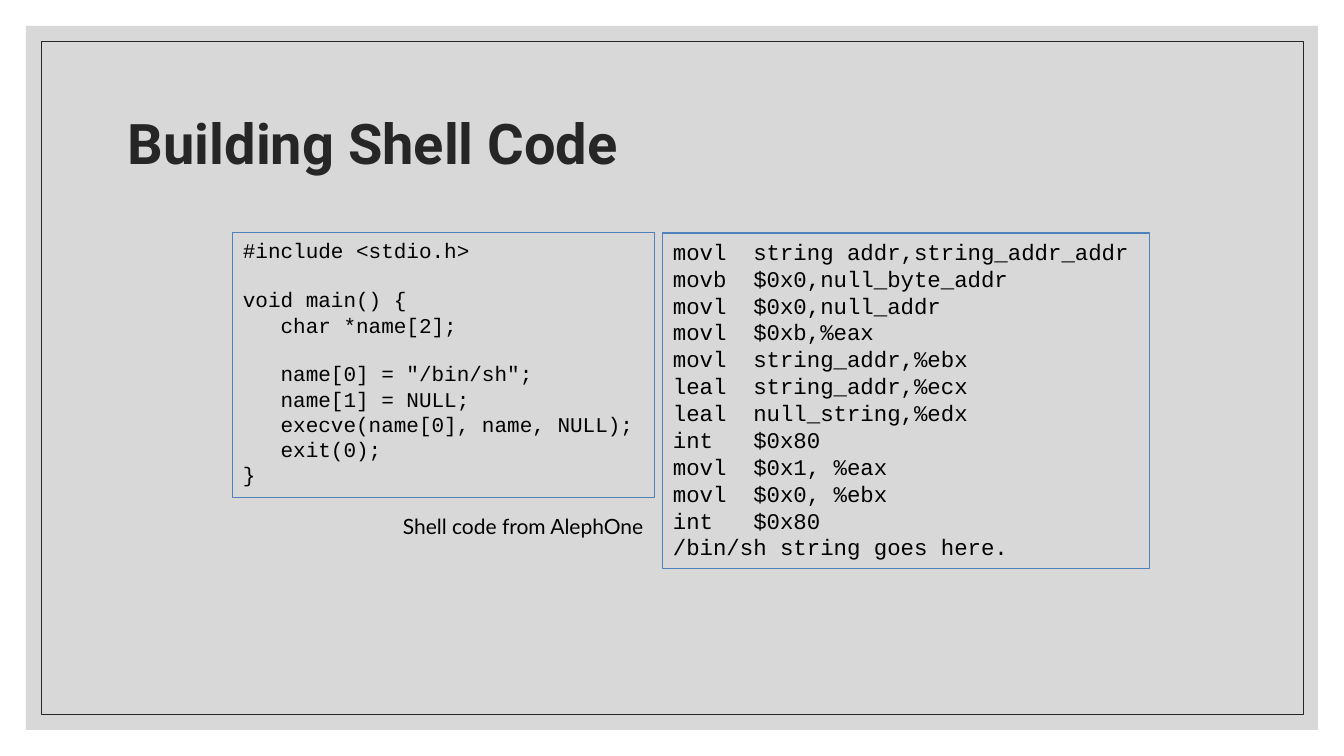
from dataclasses import dataclass

from lxml.etree import SubElement
from pptx import Presentation
from pptx.dml.color import RGBColor
from pptx.enum.shapes import MSO_SHAPE
from pptx.enum.text import MSO_ANCHOR, MSO_AUTO_SIZE, PP_ALIGN
from pptx.oxml.ns import qn
from pptx.util import Emu, Pt

EMU_PER_INCH = 914400
PX_PER_INCH = 100.8


@dataclass(frozen=True)
class Theme:
    panel: RGBColor = RGBColor(0xBF, 0xBF, 0xBF)
    panel_opacity: int = 60
    ink: RGBColor = RGBColor(0x26, 0x26, 0x26)
    code_border: RGBColor = RGBColor(0x4F, 0x81, 0xBD)
    text: RGBColor = RGBColor(0, 0, 0)
    title_size: int = 40
    c_size: int = 15
    assembly_size: int = 16
    caption_size: int = 15
    title_font: str = "Roboto"
    code_font: str = "Courier New"
    caption_font: str = "Lato"
    code_line_height: float = 1.13


THEME = Theme()

C_SOURCE = """#include <stdio.h>

void main() {
   char *name[2];

   name[0] = "/bin/sh";
   name[1] = NULL;
   execve(name[0], name, NULL);
   exit(0);
}"""

ASSEMBLY = """movl  string addr,string_addr_addr
movb  $0x0,null_byte_addr
movl  $0x0,null_addr
movl  $0xb,%eax
movl  string_addr,%ebx
leal  string_addr,%ecx
leal  null_string,%edx
int   $0x80
movl  $0x1, %eax
movl  $0x0, %ebx
int   $0x80
/bin/sh string goes here."""


def px(length):
    return Emu(round(length * EMU_PER_INCH / PX_PER_INCH))


def apply(target, values):
    for name, value in values.items():
        setattr(target, name, value)


def add_rectangle(slide, bounds, fill=None, opacity=100, border=None, weight=0.75):
    rectangle = slide.shapes.add_shape(MSO_SHAPE.RECTANGLE, *map(px, bounds))
    rectangle.shadow.inherit = False
    if fill is None:
        rectangle.fill.background()
    else:
        rectangle.fill.solid()
        rectangle.fill.fore_color.rgb = fill
        tint = rectangle.fill._xPr.find(qn("a:solidFill"))[0]
        SubElement(tint, qn("a:alpha"), val=str(opacity * 1000))
    if border is None:
        rectangle.line.fill.background()
    else:
        rectangle.line.color.rgb = border
        rectangle.line.width = Pt(weight)
    return rectangle


def write_line(paragraph, wording, font, color, spacing):
    apply(paragraph, {"alignment": PP_ALIGN.LEFT, **spacing})
    run = paragraph.add_run()
    run.text = wording
    apply(run.font, font)
    run.font.color.rgb = color


def add_label(slide, bounds, wording, font, color, frame, spacing):
    label = slide.shapes.add_textbox(*map(px, bounds)).text_frame
    apply(label, frame)
    write_line(label.paragraphs[0], wording, font, color, spacing)


def add_listing(slide, bounds, code, size):
    listing = add_rectangle(slide, bounds, border=THEME.code_border).text_frame
    apply(listing, {
        "word_wrap": True,
        "vertical_anchor": MSO_ANCHOR.TOP,
        "auto_size": MSO_AUTO_SIZE.SHAPE_TO_FIT_TEXT,
    })
    font = {"name": THEME.code_font, "size": Pt(size)}
    paragraph = listing.paragraphs[0]
    for block_index, block in enumerate(code.split("\n\n")):
        for line_index, line in enumerate(block.split("\n")):
            spacing = {}
            if block_index or line_index:
                paragraph = listing.add_paragraph()
            if block_index and not line_index:
                spacing["space_before"] = Pt(size * THEME.code_line_height)
            write_line(paragraph, line, font, THEME.text, spacing)


def main():
    deck = Presentation()
    apply(deck, {"slide_width": px(1344), "slide_height": px(756)})
    slide = deck.slides.add_slide(deck.slide_layouts[6])

    add_rectangle(slide, (26, 26, 1292, 704), THEME.panel, THEME.panel_opacity)
    add_rectangle(slide, (41, 41, 1262, 673), border=THEME.ink, weight=0.5)
    add_label(
        slide, (118, 71, 1109, 151), "Building Shell Code",
        {"name": THEME.title_font, "size": Pt(THEME.title_size), "bold": True},
        THEME.ink,
        {"word_wrap": True, "vertical_anchor": MSO_ANCHOR.MIDDLE},
        {"line_spacing": 0.9},
    )
    add_listing(slide, (233, 233, 422, 265), C_SOURCE, THEME.c_size)
    add_label(
        slide, (393, 509, 262, 35), "Shell code from AlephOne",
        {"name": THEME.caption_font, "size": Pt(THEME.caption_size)},
        THEME.text,
        {"word_wrap": False, "auto_size": MSO_AUTO_SIZE.SHAPE_TO_FIT_TEXT},
        {},
    )
    add_listing(slide, (663, 233, 487, 336), ASSEMBLY, THEME.assembly_size)
    deck.save("out.pptx")


if __name__ == "__main__":
    main()
